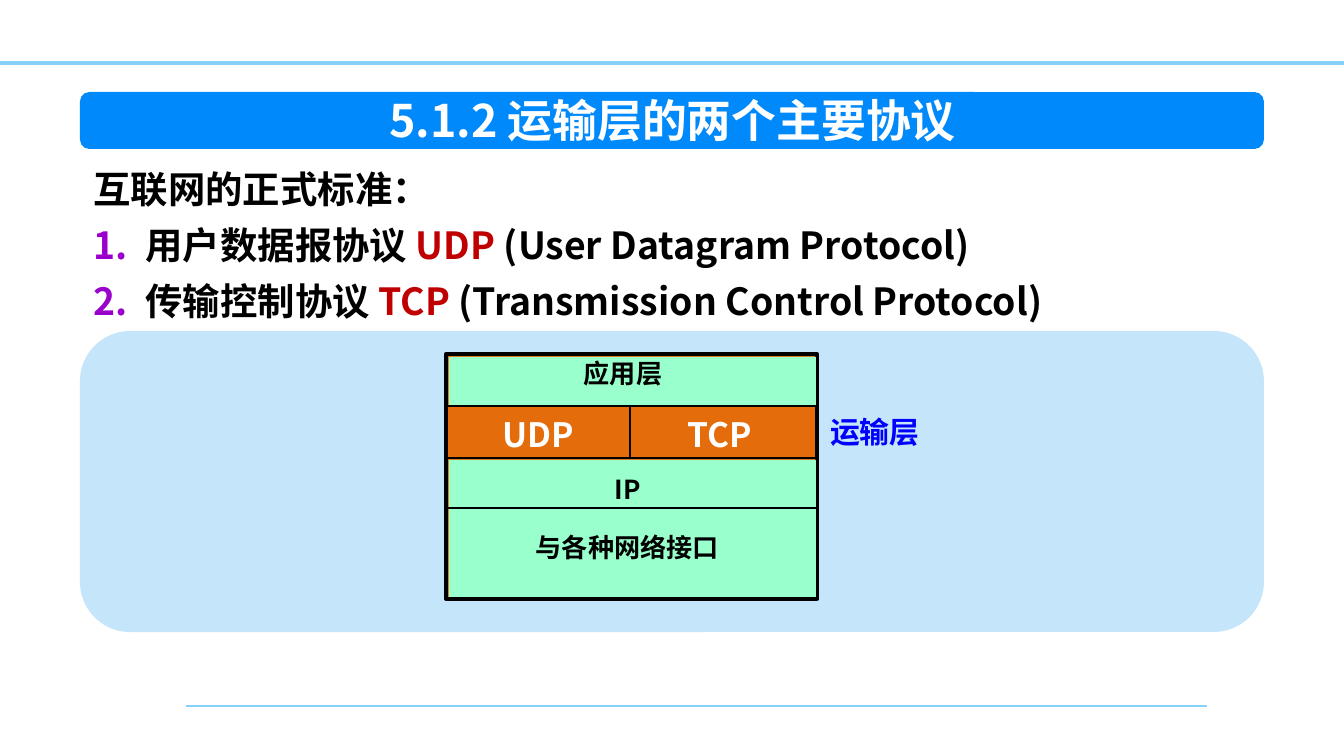
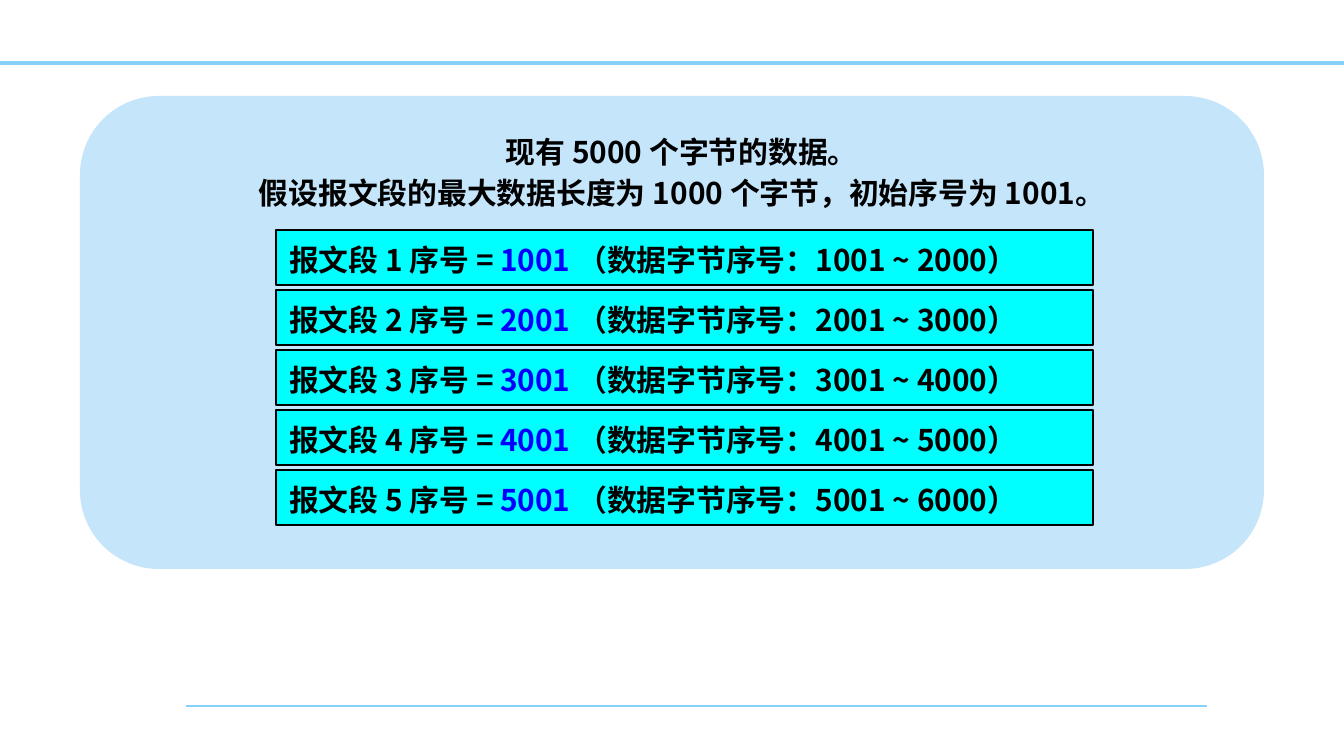
from dataclasses import dataclass

import pptx
import pptx.dml.color
import pptx.enum.shapes
import pptx.enum.text
import pptx.oxml.ns
import pptx.util
from lxml import etree

EMU_PER_PX = 914400 / 134.4
SHAPE = pptx.enum.shapes.MSO_SHAPE
ANCHOR = pptx.enum.text.MSO_ANCHOR
ALIGN = pptx.enum.text.PP_ALIGN
qn = pptx.oxml.ns.qn


@dataclass(frozen=True)
class Theme:
    font: str = "Noto Sans CJK SC"
    rule: str = "85D1F7"
    band: str = "0089FA"
    panel: str = "C5E5FB"
    layer: str = "99FFCC"
    transport: str = "E46C0A"
    segment: str = "00FFFF"
    ink: str = "000000"
    light: str = "FFFFFF"
    blue: str = "0000FF"
    red: str = "C00000"
    number: str = "9900CC"
    title_size: int = 24
    list_size: int = 20
    protocol_size: int = 18
    text_size: int = 16
    layer_size: int = 14


THEME = Theme()


def px(length):
    return pptx.util.Emu(round(length * EMU_PER_PX))


def rgb(color):
    return pptx.dml.color.RGBColor.from_string(color)


def place(shape, left, top, width, height):
    shape.left, shape.top = px(left), px(top)
    shape.width, shape.height = px(width), px(height)


def add_line(shapes, start, end, color, weight):
    line = shapes.add_connector(pptx.enum.shapes.MSO_CONNECTOR.STRAIGHT,
                                *map(px, start + end))
    line.line.color.rgb = rgb(color)
    line.line.width = pptx.util.Pt(weight)
    etree.SubElement(line.element.spPr, qn("a:effectLst"))
    return line


def add_block(shapes, box, fill, outline=0, kind=SHAPE.RECTANGLE):
    """Filled shape; outline is the width in points of a black border."""
    block = shapes.add_shape(kind, *map(px, box))
    block.shadow.inherit = False
    block.fill.solid()
    block.fill.fore_color.rgb = rgb(fill)
    if outline:
        block.line.color.rgb = rgb(THEME.ink)
        block.line.width = pptx.util.Pt(outline)
    else:
        block.line.fill.background()
    return block


def set_bullet(paragraph, numbered):
    properties = paragraph._p.get_or_add_pPr()
    indent = px(52) if numbered else 0
    properties.set("marL", str(indent))
    properties.set("indent", str(-indent))
    if numbered:
        color = etree.SubElement(properties, qn("a:buClr"))
        etree.SubElement(color, qn("a:srgbClr"), val=THEME.number)
        etree.SubElement(properties, qn("a:buAutoNum"), type="arabicPeriod")
    else:
        etree.SubElement(properties, qn("a:buNone"))


def write(paragraph, runs, size, color=THEME.ink, align=ALIGN.LEFT,
          spacing=None, numbered=False):
    """Fill a paragraph with (text, colour) runs; None keeps its colour."""
    paragraph.alignment = align
    paragraph.space_before = pptx.util.Pt(0)
    if spacing:
        paragraph.line_spacing = pptx.util.Pt(spacing)
    set_bullet(paragraph, numbered)
    font = paragraph.font
    font.size, font.bold, font.name = pptx.util.Pt(size), True, THEME.font
    font.color.rgb = rgb(color)
    defaults = paragraph._p.pPr.find(qn("a:defRPr"))
    etree.SubElement(defaults, qn("a:ea"), typeface=THEME.font)
    for text, accent in runs:
        run = paragraph.add_run()
        run.text = text
        if accent:
            run.font.color.rgb = rgb(accent)


def prepare_frame(shape, wrap=True, anchor=ANCHOR.TOP):
    frame = shape.text_frame
    frame.word_wrap = wrap
    frame.vertical_anchor = anchor
    frame.auto_size = pptx.enum.text.MSO_AUTO_SIZE.NONE
    return frame


def add_label(shapes, box, text, size, color=THEME.ink, align=ALIGN.CENTER):
    label = shapes.add_textbox(*map(px, box))
    frame = prepare_frame(label, wrap=False, anchor=ANCHOR.MIDDLE)
    write(frame.paragraphs[0], [(text, None)], size, color, align)


def add_panel(slide, top, height):
    add_block(slide.shapes, (80, top, 1184, height), THEME.panel,
              kind=SHAPE.ROUNDED_RECTANGLE)


def add_master_rules(master, slide):
    """Draw the two rules on a slide, then move them to the master."""
    rules = [((186, 706), (1207, 706), 1.5), ((0, 63), (1344, 63), 2)]
    for number, (start, end, weight) in enumerate(rules, 101):
        rule = add_line(slide.shapes, start, end, THEME.rule, weight)
        rule.element.nvCxnSpPr.cNvPr.set("id", str(number))
        master.shapes.element.append(rule.element)


def add_title(slide, text):
    add_block(slide.shapes, (80, 92, 1184, 57), THEME.band,
              kind=SHAPE.ROUNDED_RECTANGLE)
    title = slide.shapes.title
    slide.shapes.element.append(title.element)  # in front of the band
    place(title, 358, 86, 629, 67)
    frame = prepare_frame(title, wrap=False, anchor=ANCHOR.MIDDLE)
    frame.margin_left = frame.margin_right = 0
    write(frame.paragraphs[0], [(text, None)], THEME.title_size, THEME.light,
          ALIGN.CENTER)


def add_protocol_list(slide):
    body = slide.placeholders[1]
    place(body, 80, 148, 1126, 183)
    frame = prepare_frame(body)
    write(frame.paragraphs[0], [("互联网的正式标准：", None)],
          THEME.list_size, spacing=30)
    protocols = [
        ("用户数据报协议 ", "UDP", " (User Datagram Protocol)"),
        ("传输控制协议 ", "TCP", " (Transmission Control Protocol)"),
    ]
    for chinese, acronym, english in protocols:
        runs = [(chinese, None), (acronym, THEME.red), (english, None)]
        write(frame.add_paragraph(), runs, THEME.list_size, spacing=30,
              numbered=True)


def add_layer_stack(slide):
    stack = slide.shapes.add_group_shape().shapes
    left, right = 446, 817
    add_block(stack, (left, 354, right - left, 245), THEME.transport, 2)
    for top, height in [(357, 48), (460, 137)]:
        add_block(stack, (449, top, 367, height), THEME.layer)
    for y in (406, 458, 508):
        add_line(stack, (left, y), (right, y), THEME.ink, 1)
    add_line(stack, (630, 406), (630, 457), THEME.ink, 1)

    for x, protocol in [(490, "UDP"), (671, "TCP")]:
        add_label(stack, (x, 407, 97, 54), protocol, THEME.protocol_size,
                  THEME.light)
    layers = [((561, 346, 124, 54), "应用层"), ((601, 462, 54, 54), "IP"),
              ((470, 520, 315, 54), "与各种网络接口")]
    for box, layer in layers:
        add_label(stack, box, layer, THEME.layer_size)
    add_label(stack, (817, 407, 118, 50), "运输层", THEME.text_size,
              THEME.blue, ALIGN.LEFT)


def add_assumptions(slide):
    box = slide.shapes.add_textbox(*map(px, (208, 122, 948, 97)))
    frame = prepare_frame(box)
    lines = ["现有 5000 个字节的数据。",
             "假设报文段的最大数据长度为 1000 个字节，初始序号为 1001。"]
    for index, line in enumerate(lines):
        paragraph = frame.add_paragraph() if index else frame.paragraphs[0]
        write(paragraph, [(line, None)], THEME.text_size, align=ALIGN.CENTER,
              spacing=22)


def add_segments(slide, count=5, length=1000):
    for index in range(count):
        first = 1001 + index * length
        bar = add_block(slide.shapes, (276, 230 + 60 * index, 817, 55),
                        THEME.segment, 0.75)
        runs = [(f"报文段 {index + 1} 序号 = ", None),
                (f"{first} ", THEME.blue),
                (f"（数据字节序号：{first} ~ {first + length - 1}）", None)]
        write(prepare_frame(bar).paragraphs[0], runs, THEME.text_size,
              spacing=22)


def main():
    deck = pptx.Presentation()
    deck.slide_width, deck.slide_height = px(1344), px(756)

    protocols = deck.slides.add_slide(deck.slide_layouts[1])
    add_master_rules(deck.slide_master, protocols)
    add_title(protocols, "5.1.2 运输层的两个主要协议")
    add_protocol_list(protocols)
    add_panel(protocols, 331, 301)
    add_layer_stack(protocols)

    numbering = deck.slides.add_slide(deck.slide_layouts[6])
    add_panel(numbering, 96, 473)
    add_assumptions(numbering)
    add_segments(numbering)

    deck.save("out.pptx")


if __name__ == "__main__":
    main()
